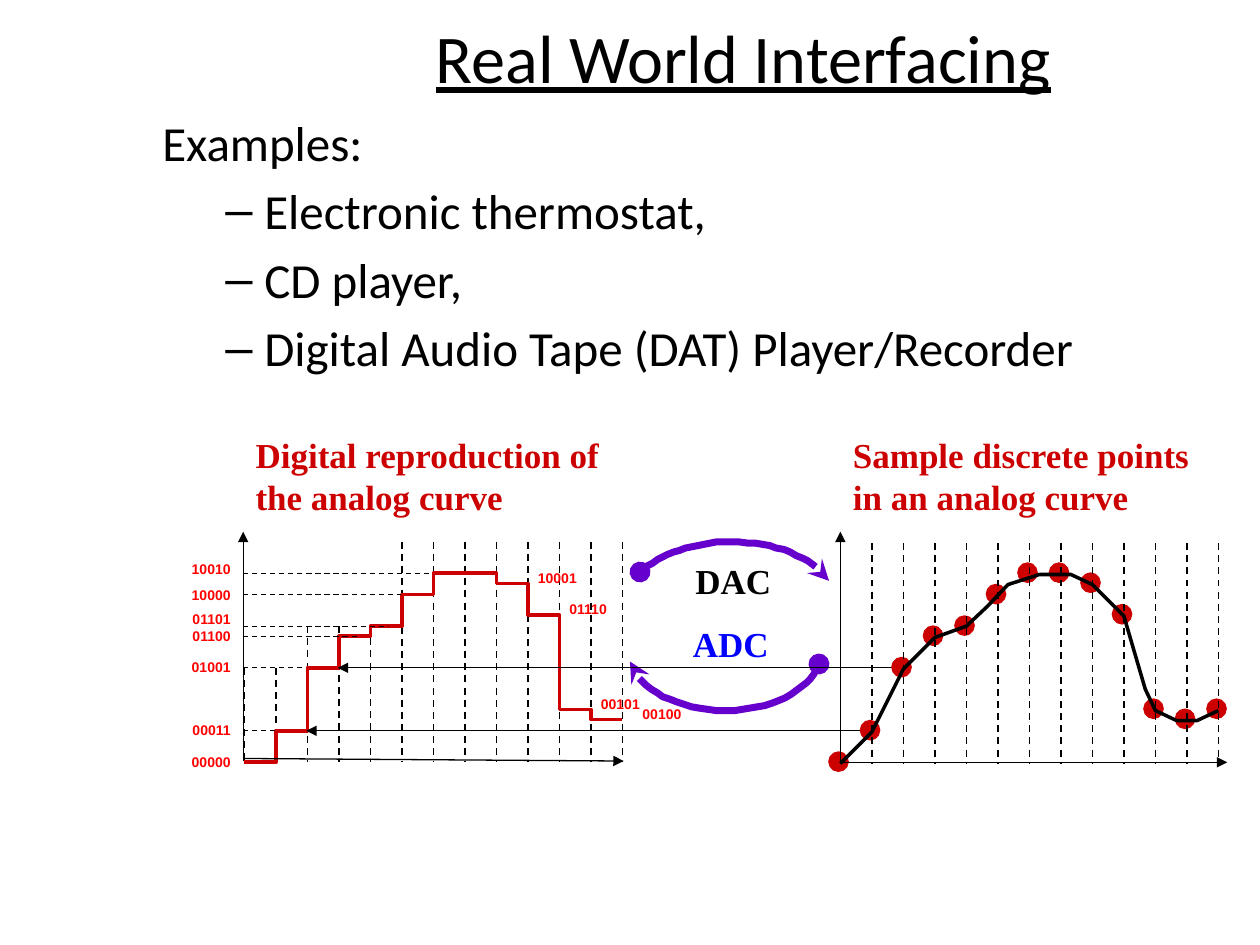
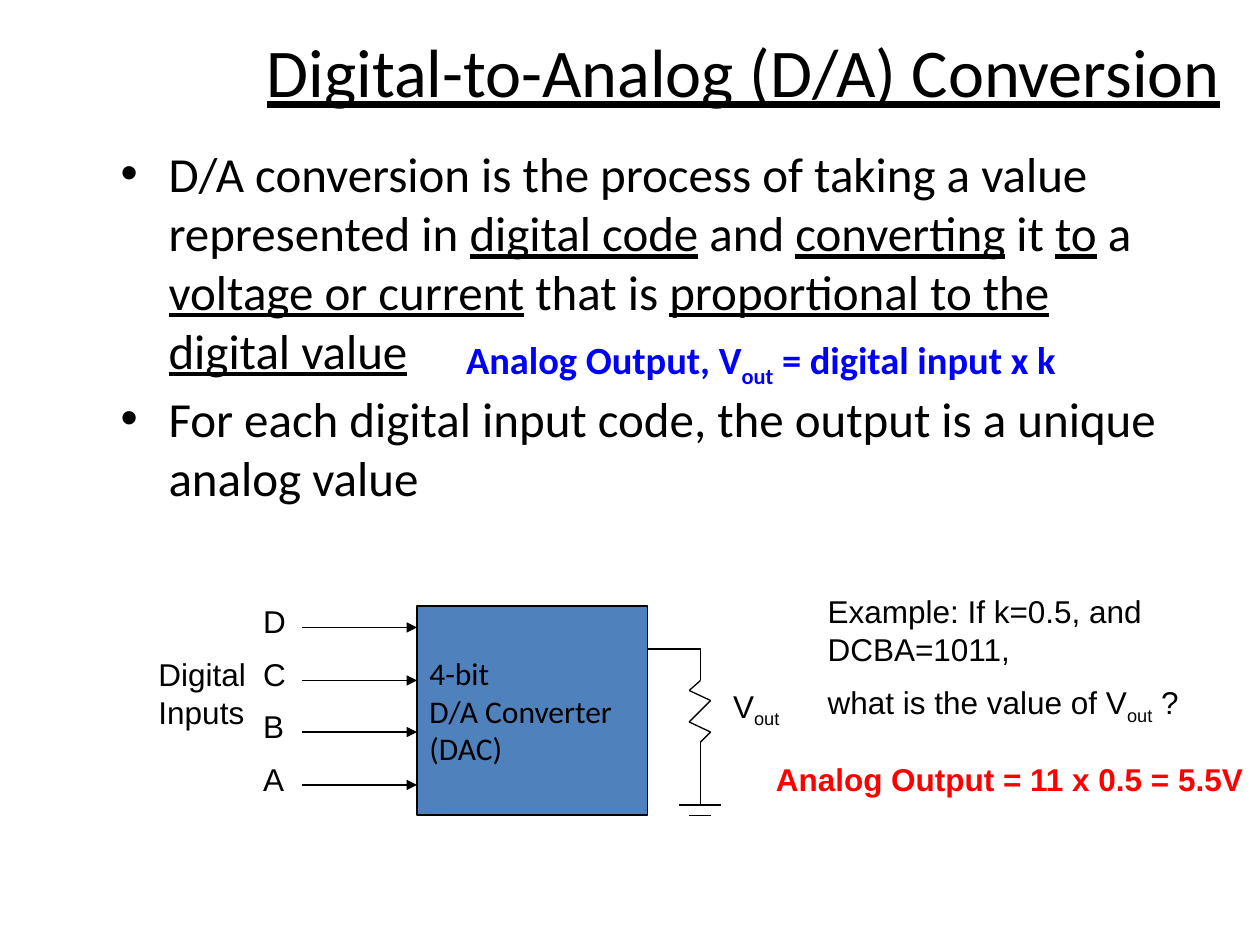
from dataclasses import dataclass
from itertools import pairwise

import pptx
import pptx.dml.color
import pptx.enum.dml
import pptx.enum.shapes
import pptx.enum.text
import pptx.oxml
import pptx.oxml.ns
import pptx.util
from lxml import etree

# Shared scale, colours and fonts
PX = 9144  # EMU in one px, 100 px to the inch
BLACK, WHITE = "000000", "FFFFFF"
RED, CRIMSON, BLUE, PURPLE, STEEL = "FF0000", "CC0000", "0000FF", "6600CC", "4F81BD"
SANS, BODY, SERIF = "Arial", "Calibri", "Times New Roman"
LEFT, CENTER, RIGHT = (pptx.enum.text.PP_ALIGN.LEFT, pptx.enum.text.PP_ALIGN.CENTER,
                       pptx.enum.text.PP_ALIGN.RIGHT)
MIDDLE = pptx.enum.text.MSO_ANCHOR.MIDDLE
DASH = pptx.enum.dml.MSO_LINE.DASH
SHAPE = pptx.enum.shapes.MSO_SHAPE
Point = tuple[float, float]
Box = tuple[int, int, int, int]


@dataclass(frozen=True)
class Style:
    size: int
    font: str
    color: str = BLACK
    bold: bool = False
    underline: bool = False


@dataclass(frozen=True)
class Run:
    text: str
    underline: bool = False
    sub: bool = False


@dataclass(frozen=True)
class Para:
    runs: tuple[Run, ...]
    before: float = 0
    left: int = 0
    hang: int = 0
    bullet: str = ""


@dataclass(frozen=True)
class Level:
    code: str
    label_top: int
    y: int
    dash_end: int


TITLE = Style(39, BODY, underline=True)
LIST = Style(28, BODY)
HEADING = Style(20, SERIF, CRIMSON, bold=True)
CODE = Style(8, SANS, RED, bold=True)
NOTE = Style(18, SANS)


def rgb(color: str) -> pptx.dml.color.RGBColor:
    return pptx.dml.color.RGBColor.from_string(color)


def px(*lengths: float) -> list[int]:
    return [round(n * PX) for n in lengths]


def plain(text: str, **layout) -> Para:
    return Para((Run(text),), **layout)


def set_line(line, color: str, width: float, dash=None, head: str = "", tail: str = "") -> None:
    line.color.rgb = rgb(color)
    line.width = pptx.util.Pt(width)
    if dash:
        line.dash_style = dash
    ln = line._get_or_add_ln()
    for tag, kind in (("a:headEnd", head), ("a:tailEnd", tail)):
        if kind:
            etree.SubElement(ln, pptx.oxml.ns.qn(tag), type=kind)


def set_text(tf, paras: list[Para], style: Style, align=LEFT, wrap: bool = True) -> None:
    tf.word_wrap = wrap
    for i, para in enumerate(paras):
        p = tf.paragraphs[0] if i == 0 else tf.add_paragraph()
        pPr = p._p.get_or_add_pPr()
        if para.left:
            pPr.set("marL", str(para.left * PX))
            pPr.set("indent", str(-para.hang * PX))
        if para.bullet:
            etree.SubElement(pPr, pptx.oxml.ns.qn("a:buFont"), typeface=SANS)
            etree.SubElement(pPr, pptx.oxml.ns.qn("a:buChar"), char=para.bullet)
        p.alignment = align
        p.space_before = pptx.util.Pt(para.before)
        for run in para.runs:
            r = p.add_run()
            r.text = run.text
            r.font.size = pptx.util.Pt(style.size)
            r.font.name = style.font
            r.font.bold = style.bold
            r.font.underline = style.underline or run.underline
            r.font.color.rgb = rgb(style.color)
            if run.sub:
                r._r.get_or_add_rPr().set("baseline", "-25000")


def add_text(s, box: Box, paras: list[Para] | str, style: Style, align=LEFT,
             wrap: bool = True, fill: str = ""):
    sp = s.shapes.add_textbox(*px(*box))
    if fill:
        sp.fill.solid()
        sp.fill.fore_color.rgb = rgb(fill)
    set_text(sp.text_frame, [plain(paras)] if isinstance(paras, str) else paras,
             style, align, wrap)
    return sp


def add_title(s, text: str, height: int) -> None:
    sp = add_text(s, (180, 0, 820, height), text, TITLE, CENTER)
    sp.text_frame.vertical_anchor = MIDDLE


def add_shape(s, kind, box: Box, fill: str, line: str, width: float):
    sp = s.shapes.add_shape(kind, *px(*box))
    sp.shadow.inherit = False
    sp.fill.solid()
    sp.fill.fore_color.rgb = rgb(fill)
    set_line(sp.line, line, width)
    return sp


def add_line(s, start: Point, end: Point, width: float = 0.75, dash=None, tail: str = "") -> None:
    c = s.shapes.add_connector(pptx.enum.shapes.MSO_CONNECTOR.STRAIGHT, *px(*start, *end))
    set_line(c.line, BLACK, width, dash, tail=tail)
    etree.SubElement(c._element.spPr, pptx.oxml.ns.qn("a:effectLst"))


def add_arrow(s, start: Point, end: Point) -> None:
    add_line(s, start, end, tail="triangle")


def add_outline(s, points: list[Point], color: str, width: float, head: str = "", tail: str = "") -> None:
    fb = s.shapes.build_freeform(*points[0], scale=PX)
    fb.add_line_segments(points[1:], close=False)
    sp = fb.convert_to_shape()
    sp.shadow.inherit = False
    sp.fill.background()
    set_line(sp.line, color, width, head=head, tail=tail)


def bezier(a: Point, b: Point, c: Point, d: Point, steps: int = 16) -> list[Point]:
    ts = [i / steps for i in range(steps + 1)]
    return [tuple((1 - t) ** 3 * a[k] + 3 * (1 - t) ** 2 * t * b[k]
                  + 3 * (1 - t) * t * t * c[k] + t ** 3 * d[k] for k in (0, 1)) for t in ts]


def add_swoosh(s, first: list[Point], second: list[Point]) -> None:
    points = bezier(*first) + bezier(*second)[1:]
    add_outline(s, points, PURPLE, 4, head="oval", tail="stealth")


# Sampled curve: one height per time step
STEP = 25
SAMPLES = [605, 580, 530, 505, 497, 472, 455, 455, 463, 488, 563, 571, 563]
DIGITAL_X, ANALOG_X, DOT_X, DOT = 194, 667, 658, 15
GUIDE_TOPS = [530] * 2 + [497] * 3 + [430] * 8
ANALOG_CURVE = [(667, 606), (692, 581), (717, 531), (742, 506), (767, 497), (784, 481),
                (800, 464), (825, 456), (850, 456), (867, 464), (892, 489), (909, 547),
                (917, 564), (934, 572), (950, 572), (967, 564)]
LEVELS = [
    Level("00000", 593, 605, 193),
    Level("00011", 568, 580, 218),
    Level("01001", 518, 530, 243),
    Level("01100", 493, 505, 285),
    Level("01101", 480, 497, 309),
    Level("10000", 461, 472, 318),
    Level("10010", 440, 455, 343),
]
FALLING_CODES = [("00100", 500, 555), ("00101", 467, 547), ("01110", 442, 472), ("10001", 417, 447)]


def interfacing_slide(s) -> None:
    add_title(s, "Real World Interfacing", 89)
    examples = ["Electronic thermostat,", "CD player,", "Digital Audio Tape (DAT) Player/Recorder"]
    add_text(s, (119, 84, 804, 216),
             [plain("Examples:", left=38, hang=38)]
             + [plain(e, before=5.6, left=81, hang=31, bullet="–") for e in examples],
             LIST, fill=WHITE)
    add_text(s, (667, 339, 292, 77), "Sample discrete points in an analog curve", HEADING)
    add_text(s, (193, 339, 307, 77), "Digital reproduction of the analog curve", HEADING)

    # Conversion to analog
    add_swoosh(s, [(508, 454), (524, 440), (551, 430), (580, 430)],
               [(580, 430), (614, 430), (645, 442), (658, 461)])
    add_text(s, (542, 439, 102, 43), "DAC", Style(20, SERIF, BLACK, bold=True))

    # Digital graph
    for i, top in enumerate(GUIDE_TOPS):
        x = DIGITAL_X + i * STEP
        add_line(s, (x, top), (x, 605), 1, DASH)
    stairs = [(DIGITAL_X + (i + side) * STEP, y)
              for i, y in enumerate(SAMPLES[:-1]) for side in (0, 1)]
    add_outline(s, stairs, CRIMSON, 2)
    add_arrow(s, (193, 604), (193, 422))
    add_arrow(s, (193, 602), (495, 604))

    # Conversion to digital
    add_swoosh(s, [(650, 527), (642, 549), (611, 564), (576, 564)],
               [(576, 564), (538, 564), (507, 547), (500, 525)])
    add_text(s, (540, 489, 81, 43), "ADC", Style(20, SERIF, BLUE, bold=True), wrap=False)
    add_arrow(s, (683, 580), (243, 580))
    add_arrow(s, (708, 530), (268, 530))

    # Binary codes
    for level in LEVELS:
        if level.dash_end > 193:
            add_line(s, (193, level.y), (level.dash_end, level.y), dash=DASH)
        add_text(s, (135, level.label_top, 58, 23), level.code, CODE, RIGHT)
    for code, x, y in FALLING_CODES:
        add_text(s, (x, y, 58, 23), code, CODE)

    # Analog graph
    for i, y in enumerate(SAMPLES):
        add_shape(s, SHAPE.OVAL, (DOT_X + i * STEP, y - 8, DOT, DOT), CRIMSON, CRIMSON, 1)
    for i in range(len(SAMPLES)):
        x = ANALOG_X + i * STEP
        add_line(s, (x, 431), (x, 606), 1, DASH)
    add_outline(s, ANALOG_CURVE, BLACK, 2)
    add_arrow(s, (667, 605), (667, 422))
    add_arrow(s, (667, 605), (974, 605))


RESISTOR_WIRE = [(514, 515), (556, 515), (556, 540), (547, 548), (564, 556), (547, 573),
                 (564, 581), (556, 589), (556, 606), (556, 639)]
INPUT_YS = {"D": 498, "C": 540, "B": 581, "A": 623}


def conversion_slide(s) -> None:
    add_title(s, "Digital-to-Analog (D/A) Conversion", 112)
    definition = ["D/A conversion is the process of taking a value represented in ", "digital code",
                  " and ", "converting", " it ", "to", " a ", "voltage or current", " that is ",
                  "proportional to the digital value"]
    runs = tuple(Run(t, underline=i % 2 == 1) for i, t in enumerate(definition))
    add_text(s, (86, 109, 844, 307), [
        Para(runs, left=38, hang=38, bullet="•"),
        plain("For each digital input code, the output is a unique analog value",
              before=5.6, left=38, hang=38, bullet="•"),
    ], LIST, fill=WHITE)

    # Converter and its inputs
    sp = add_shape(s, SHAPE.RECTANGLE, (331, 481, 183, 166), STEEL, BLACK, 0.75)
    sp.text_frame.vertical_anchor = MIDDLE
    set_text(sp.text_frame, [plain(t) for t in ("4-bit", "D/A Converter", "(DAC)")],
             Style(18, BODY), wrap=False)
    for name, y in INPUT_YS.items():
        add_arrow(s, (240, y), (331, y))
        add_text(s, (199, y - 25, 41, 40), name, NOTE)
    add_text(s, (116, 515, 124, 70), "Digital Inputs", NOTE)

    # Load resistor and ground
    for start, end in pairwise(RESISTOR_WIRE):
        add_line(s, start, end)
    add_line(s, (539, 639), (572, 639))
    add_line(s, (547, 647), (564, 647))
    out = Run("out", sub=True)
    add_text(s, (572, 540, 83, 40), [Para((Run("V"), out))], NOTE)

    # Formula and worked example
    add_text(s, (360, 262, 639, 47),
             [Para((Run("Analog Output, V"), out, Run(" = digital input x k")))],
             Style(22, BODY, BLUE, bold=True))
    add_text(s, (647, 465, 307, 115), [
        plain("Example: If k=0.5, and DCBA=1011,"),
        Para((Run("what is the value of V"), out, Run(" ?")), before=9),
    ], NOTE)
    add_text(s, (606, 598, 394, 40), "Analog Output = 11 x 0.5 = 5.5V",
             Style(18, SANS, RED, bold=True))


def main() -> None:
    prs = pptx.Presentation()
    prs.slide_width, prs.slide_height = px(1000, 750)
    for build in (interfacing_slide, conversion_slide):
        build(prs.slides.add_slide(prs.slide_layouts[6]))
    prs.save("out.pptx")


if __name__ == "__main__":
    main()
